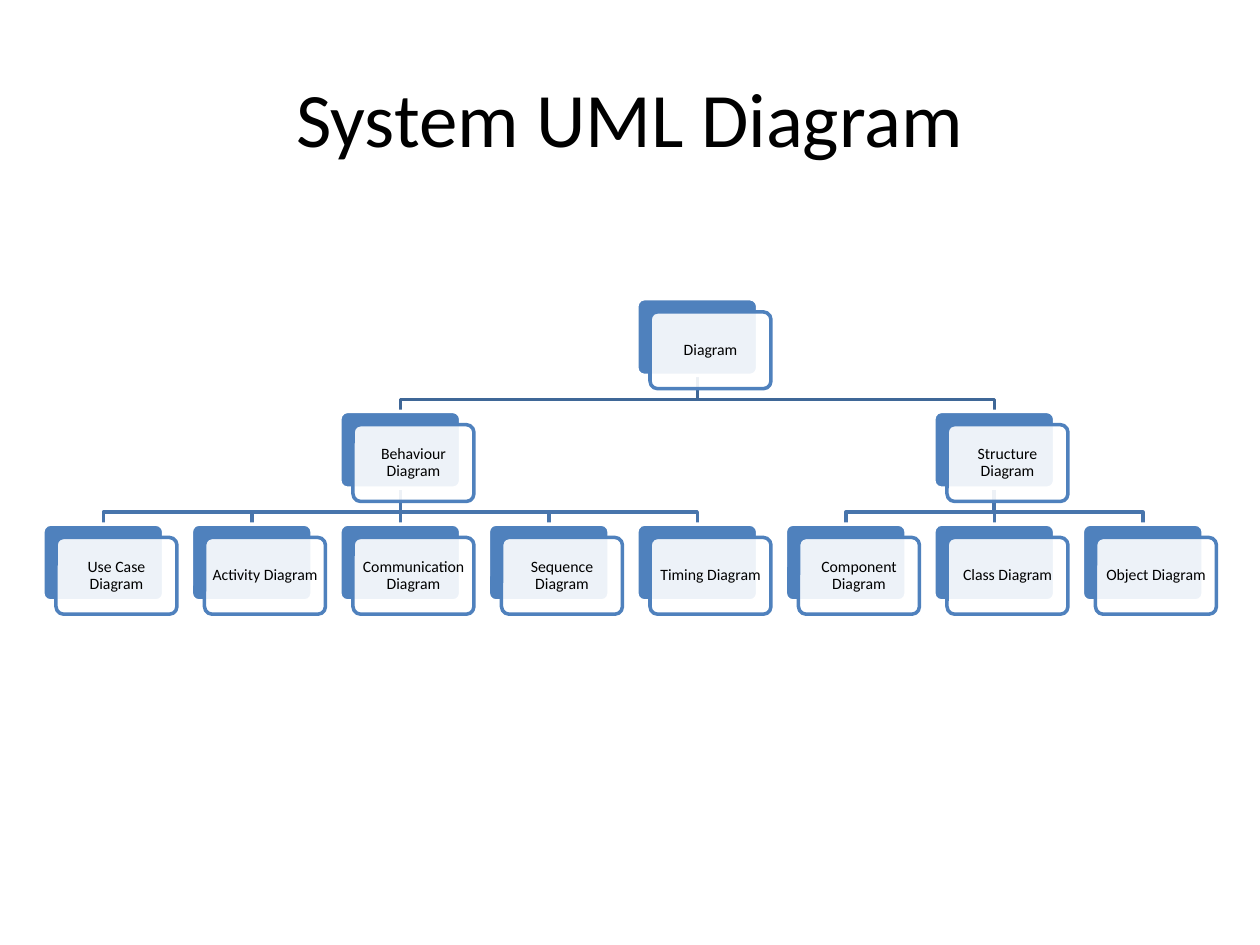
from lxml import etree
from pptx import Presentation
from pptx import util as u
from pptx.dml.color import RGBColor
from pptx.enum import shapes, text
from pptx.oxml.ns import qn

# Tree: (label, grid column, children)
TREE = ("Diagram", 4, [
    ("Behaviour Diagram", 2, [
        ("Use Case Diagram", 0, []),
        ("Activity Diagram", 1, []),
        ("Communication Diagram", 2, []),
        ("Sequence Diagram", 3, []),
        ("Timing Diagram", 4, []),
    ]),
    ("Structure Diagram", 6, [
        ("Component Diagram", 5, []),
        ("Class Diagram", 6, []),
        ("Object Diagram", 7, []),
    ]),
])


def color(value):
    return RGBColor.from_string(value)


def write(sp, words, size=9, inset=0.02, spacing=0.9, after=3):
    tf = sp.text_frame
    tf.word_wrap = True
    tf.vertical_anchor = text.MSO_ANCHOR.MIDDLE
    tf.margin_left = tf.margin_right = u.Inches(inset)
    tf.margin_top = tf.margin_bottom = u.Inches(inset)
    p = tf.paragraphs[0]
    p.alignment = text.PP_ALIGN.CENTER
    p.line_spacing = spacing
    p.space_after = u.Pt(after)
    r = p.add_run()
    r.text = words
    r.font.name = "Calibri"
    r.font.size = u.Pt(size)
    r.font.color.rgb = color("000000")


class Chart:
    """Draws an organisation chart on a grid of columns and rows."""
    BLUE, WHITE = "4F81BD", "FFFFFF"
    LEVEL_LINES = ["3F6797", "4875AC"]
    LEFT, TOP = 0.34, 2.37
    PITCH_X, PITCH_Y = 8.25 / 7, 1.79 / 2
    CARD_W, CARD_H = 0.96, 0.61
    OFFSET = 0.105
    BEND = 0.19

    def __init__(self, prs):
        self.prs = prs
        self.s = prs.slides.add_slide(prs.slide_layouts[6])

    def title(self, words):
        w, h = self.prs.slide_width, self.prs.slide_height
        sp = self.s.shapes.add_textbox(
            int(w * 0.05), int(h * 0.04), int(w * 0.9), int(h / 6))
        write(sp, words, size=44, inset=0.05, spacing=1.0, after=0)

    def card(self, x, y, fill, line):
        sp = self.s.shapes.add_shape(
            shapes.MSO_SHAPE.ROUNDED_RECTANGLE, u.Inches(x), u.Inches(y),
            u.Inches(self.CARD_W), u.Inches(self.CARD_H))
        sp.adjustments[0] = 0.1
        sp.shadow.inherit = False
        sp.fill.solid()
        sp.fill.fore_color.rgb = color(fill)
        sp.line.color.rgb = color(line)
        sp.line.width = u.Pt(2)
        return sp

    def node(self, label, col, row):
        """Draws a solid card under a translucent one; returns the solid card."""
        x = self.LEFT + col * self.PITCH_X
        y = self.TOP + row * self.PITCH_Y
        back = self.card(x, y, self.BLUE, self.WHITE)
        front = self.card(x + self.OFFSET, y + self.OFFSET,
                          self.WHITE, self.BLUE)
        clr = front.element.spPr.find(qn("a:solidFill"))[0]
        etree.SubElement(clr, qn("a:alpha"), val="90000")
        write(front, label)
        return back

    def link(self, parent, child, line):
        """Joins two cards behind all others, with a bend if not aligned."""
        x1, y1 = parent.left + parent.width // 2, parent.top + parent.height
        x2, y2 = child.left + child.width // 2, child.top
        if x1 == x2:
            sp = self.s.shapes.add_connector(
                shapes.MSO_CONNECTOR.STRAIGHT, x1, y1, x2, y2)
            sp.begin_connect(parent, 2)
            sp.end_connect(child, 0)
            etree.SubElement(sp.element.spPr, qn("a:effectLst"))
        else:
            bend = y1 + u.Inches(self.BEND)
            path = self.s.shapes.build_freeform(x1, y1)
            path.add_line_segments([(x1, bend), (x2, bend), (x2, y2)],
                                   close=False)
            sp = path.convert_to_shape()
            sp.fill.background()
            sp.shadow.inherit = False
        sp.line.color.rgb = color(line)
        sp.line.width = u.Pt(2)
        self.s.shapes.element.insert(2, sp.element)

    def tree(self, branch, row=0):
        label, col, children = branch
        parent = self.node(label, col, row)
        for child in children:
            self.link(parent, self.tree(child, row + 1), self.LEVEL_LINES[row])
        return parent


def main():
    prs = Presentation()
    prs.slide_width, prs.slide_height = u.Inches(10), u.Inches(7.5)
    chart = Chart(prs)
    chart.title("System UML Diagram")
    chart.tree(TREE)
    prs.save("out.pptx")


if __name__ == "__main__":
    main()
